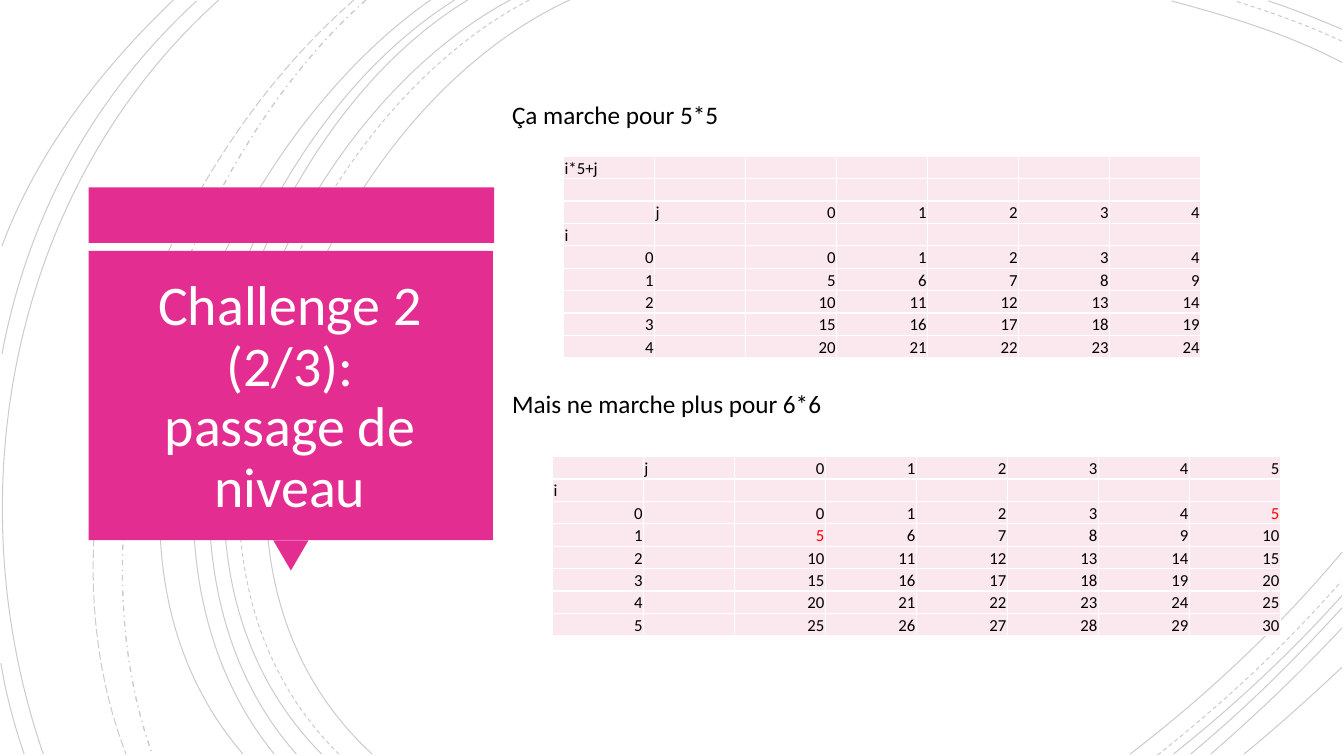
from lxml import etree
from pptx import Presentation
from pptx.dml.color import RGBColor
from pptx.enum.dml import MSO_LINE
from pptx.enum.shapes import MSO_SHAPE
from pptx.enum.text import MSO_ANCHOR, PP_ALIGN
from pptx.oxml.ns import qn
from pptx.util import Inches, Pt

SOLID, DASH = MSO_LINE.SOLID, MSO_LINE.DASH
LONG_DASH, DASH_DOT = MSO_LINE.LONG_DASH, MSO_LINE.DASH_DOT
LEFT, CENTER, RIGHT = PP_ALIGN.LEFT, PP_ALIGN.CENTER, PP_ALIGN.RIGHT
TOP, MIDDLE, BOTTOM = MSO_ANCHOR.TOP, MSO_ANCHOR.MIDDLE, MSO_ANCHOR.BOTTOM

FONT = "Calibri"
COLORS = {"pink": "E32D91", "cell": "FAE8EE", "white": "FFFFFF", "black": "000000", "red": "FF0000"}

presentation = Presentation()
presentation.slide_width = Inches(13.33)
presentation.slide_height = Inches(7.5)
slide = presentation.slides.add_slide(presentation.slide_layouts[6])


def add_run(paragraph, text, size, color):
    run = paragraph.add_run()
    run.text = text
    run.font.name = FONT
    run.font.size = Pt(size)
    run.font.color.rgb = RGBColor.from_string(COLORS[color])


def add_table(left, top, rows, red_cells):
    """Draw rows of text; the default table style supplies the white borders."""
    column_count = len(rows[0])
    column_width, row_height = Inches(7.22 / 8), Inches(2 / 9)
    table = slide.shapes.add_table(
        len(rows), column_count, Inches(left), Inches(top),
        column_width * column_count, row_height * len(rows)).table
    table.first_row = table.horz_banding = False
    for column in table.columns:
        column.width = column_width
    for row_index, row in enumerate(rows):
        table.rows[row_index].height = row_height
        for column_index, text in enumerate(row):
            cell = table.cell(row_index, column_index)
            cell.margin_left = cell.margin_right = cell.margin_top = Inches(0.01)
            cell.margin_bottom = 0
            cell.vertical_anchor = BOTTOM
            cell.fill.solid()
            cell.fill.fore_color.rgb = RGBColor.from_string(COLORS["cell"])
            paragraph = cell.text_frame.paragraphs[0]
            if text:
                paragraph.alignment = RIGHT if text.isdigit() else LEFT
                color = "red" if (row_index, column_index) in red_cells else "black"
                add_run(paragraph, text, 12, color)
            else:
                etree.SubElement(paragraph._p, qn("a:endParaRPr"), sz="1200")


# Background arcs: start, two control points, end, dash, width
arcs = [
    ((5.65, 0), (3.15, 1.15), (1.43, 5.4), (3.69, 7.48), SOLID, 0.75),
    ((13.31, 0.62), (12.78, 0.34), (12.18, 0.16), (11.62, 0.01), SOLID, 0.75),
    ((11.21, 7.48), (11.97, 6.9), (12.69, 6.22), (13.31, 5.48), SOLID, 0.75),
    ((5.25, 0), (2.85, 1.25), (1.23, 5.37), (3.36, 7.48), DASH, 0.75),
    ((13.31, 0.41), (12.97, 0.25), (12.6, 0.12), (12.25, 0.01), DASH, 0.75),
    ((11.48, 7.49), (12.13, 6.98), (12.75, 6.4), (13.3, 5.77), DASH, 0.75),
    ((5.06, 0), (2.7, 1.27), (1.1, 5.37), (3.19, 7.48), SOLID, 0.75),
    ((13.31, 0.29), (13.07, 0.19), (12.83, 0.09), (12.58, 0.01), SOLID, 0.75),
    ((11.64, 7.48), (12.23, 7.01), (12.8, 6.48), (13.31, 5.91), SOLID, 0.75),
    ((4.64, 0), (2.44, 1.33), (1.1, 5.41), (2.94, 7.48), SOLID, 0.75),
    ((11.81, 7.48), (12.34, 7.04), (12.84, 6.55), (13.31, 6.03), SOLID, 0.75),
    ((4.51, 0), (2.31, 1.38), (0.97, 5.33), (2.72, 7.48), SOLID, 0.75),
    ((12.01, 7.48), (12.46, 7.09), (12.9, 6.67), (13.31, 6.23), SOLID, 0.75),
    ((4.27, 0), (2.17, 1.47), (0.53, 5.29), (2.41, 7.48), SOLID, 0.75),
    ((12.34, 7.48), (12.67, 7.21), (12.99, 6.92), (13.31, 6.62), SOLID, 0.75),
    ((3.63, 0), (1.76, 1.66), (0.65, 5.09), (1.51, 7.48), DASH_DOT, 1),
    ((3.51, 0), (1.57, 1.69), (0.29, 4.99), (1.25, 7.48), LONG_DASH, 0.75),
    ((2.17, 0), (0.11, 1.85), (-0.46, 4.9), (0.43, 7.48), SOLID, 0.75),
    ((1.95, 0.01), (0.92, 0.96), (0.28, 2.14), (0.02, 3.51), SOLID, 0.75),
    ((0.01, 6.58), (0.06, 6.89), (0.14, 7.19), (0.24, 7.48), SOLID, 0.75),
    ((1.72, 0), (1, 0.69), (0.37, 1.5), (0.02, 2.44), SOLID, 0.75),
]
for *points, dash, width in arcs:
    start, *targets = [(Inches(x), Inches(y)) for x, y in points]
    builder = slide.shapes.build_freeform(*start)
    builder.add_line_segments(targets, close=False)
    arc = builder.convert_to_shape()
    # Merge the three straight segments into one cubic curve
    segments = list(arc._element.iter(qn("a:lnTo")))
    curve = etree.SubElement(segments[0].getparent(), qn("a:cubicBezTo"))
    for segment in segments:
        curve.append(segment[0])
        segment.getparent().remove(segment)
    arc.shadow.inherit = False
    arc.fill.background()
    arc.line.width = Pt(width)
    arc.line.dash_style = dash
    arc.line.color.rgb = RGBColor.from_string(COLORS["black"])
    line_color = next(arc._element.iter(qn("a:srgbClr")))
    etree.SubElement(line_color, qn("a:alpha"), val="20000")

# Pink title panel
for preset, left, top, width, height, rotation in [
    (MSO_SHAPE.RECTANGLE, 0.88, 1.86, 4.02, 0.55, 0),
    (MSO_SHAPE.ISOSCELES_TRIANGLE, 2.71, 5.36, 0.35, 0.3, 180),
    (MSO_SHAPE.RECTANGLE, 0.88, 2.49, 4.01, 2.87, 0),
]:
    shape = slide.shapes.add_shape(preset, Inches(left), Inches(top), Inches(width), Inches(height))
    shape.rotation = rotation
    shape.shadow.inherit = False
    shape.fill.solid()
    shape.fill.fore_color.rgb = RGBColor.from_string(COLORS["pink"])
    shape.line.fill.background()

title = slide.shapes.add_textbox(Inches(0.99), Inches(2.64), Inches(3.77), Inches(2.62)).text_frame
title.word_wrap = True
title.vertical_anchor = MIDDLE
paragraph = title.paragraphs[0]
paragraph.alignment = CENTER
paragraph.line_spacing = 0.9
add_run(paragraph, "Challenge 2 (2/3):", 40, "white")
paragraph.add_line_break()
add_run(paragraph, "passage de niveau", 40, "white")

# Captions above the two tables
captions = slide.shapes.add_textbox(Inches(4.98), Inches(0.27), Inches(8.35), Inches(5.74)).text_frame
captions.word_wrap = True
captions.vertical_anchor = TOP
captions.margin_top = Inches(0.75)
first_caption = captions.paragraphs[0]
second_caption = captions.add_paragraph()
second_caption.space_before = Pt(187)
for paragraph, text in [(first_caption, "Ça marche pour 5*5"),
                        (second_caption, "Mais ne marche plus pour 6*6")]:
    paragraph.line_spacing = 0.9
    add_run(paragraph, text, 18, "black")

# Index grids numbered by i*5+j
grids = {}
for size in (5, 6):
    header = ["", "j"] + [str(j) for j in range(size)]
    grids[size] = [header, ["i"] + [""] * (size + 1)]
    for i in range(size):
        grids[size].append([str(i), ""] + [str(i * 5 + j) for j in range(size)])

formula_rows = [["i*5+j"] + [""] * 6, [""] * 7]
add_table(5.59, 1.55, formula_rows + grids[5], [])
add_table(5.48, 4.53, grids[6], [(2, 7), (3, 2)])

presentation.save("out.pptx")
